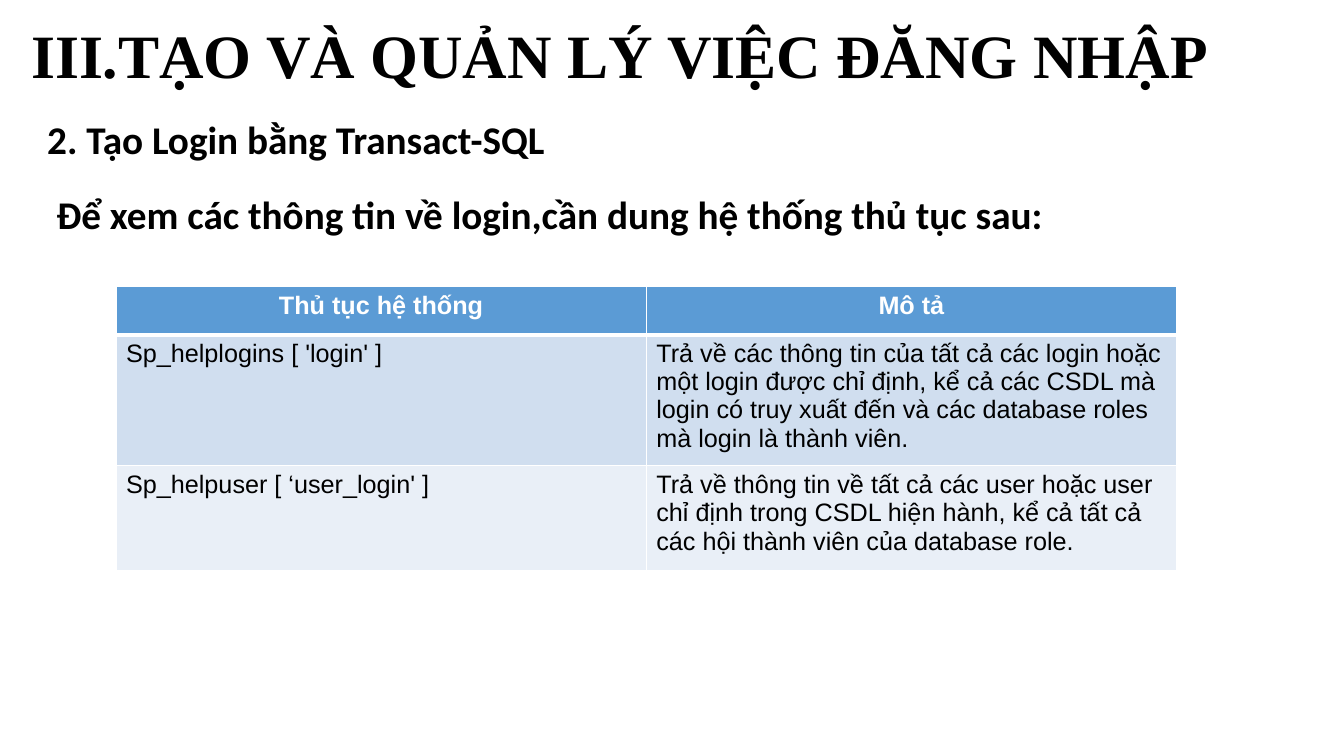
from lxml import etree
from pptx import Presentation
from pptx.dml.color import RGBColor
from pptx.enum.text import MSO_ANCHOR, PP_ALIGN
from pptx.oxml.ns import qn
from pptx.util import Inches, Pt

CENTER, LEFT, JUSTIFY = PP_ALIGN.CENTER, PP_ALIGN.LEFT, PP_ALIGN.JUSTIFY
MIDDLE, TOP = MSO_ANCHOR.MIDDLE, MSO_ANCHOR.TOP
COLORS = {"text": "000000", "white": "FFFFFF", "header": "5B9BD5",
          "band_dark": "D0DEEF", "band_light": "E9EFF7"}


def style(p, font, size, color, bold, align):
    p.alignment = align
    for r in p.runs:
        r.font.name = font
        r.font.size = Pt(size)
        r.font.bold = bold
        r.font.color.rgb = RGBColor.from_string(COLORS[color])


def add_border(cell, side, width):
    ln = etree.SubElement(cell._tc.get_or_add_tcPr(), qn("a:" + side), w=str(Pt(width)))
    fill = etree.SubElement(ln, qn("a:solidFill"))
    etree.SubElement(fill, qn("a:srgbClr"), val=COLORS["white"])


prs = Presentation()
prs.slide_width, prs.slide_height = Inches(13.33), Inches(7.5)
s = prs.slides.add_slide(prs.slide_layouts[6])

title = s.shapes.add_textbox(Inches(0.21), Inches(-0.14), Inches(12.75), Inches(1.45))
tf = title.text_frame
tf.word_wrap = True
tf.vertical_anchor = MIDDLE
p = tf.paragraphs[0]
p.text = "III.TẠO VÀ QUẢN LÝ VIỆC ĐĂNG NHẬP"
p.line_spacing = 0.9
style(p, "Times New Roman", 44, "text", True, LEFT)

body = s.shapes.add_textbox(Inches(0.37), Inches(0.95), Inches(12.44), Inches(5.28))
tf = body.text_frame
tf.word_wrap = True
tf.vertical_anchor = TOP
tf.text = "2. Tạo Login bằng Transact-SQL\nĐể xem các thông tin về login,cần dung hệ thống thủ tục sau:"
for p in tf.paragraphs:
    p.line_spacing = 1.3
    style(p, "Calibri", 28, "text", True, JUSTIFY)
intro = tf.paragraphs[1]
intro.space_before = Pt(10)
intro._p.get_or_add_pPr().set("marL", str(Inches(0.09)))

rows = [
    ("Thủ tục hệ thống", "Mô tả"),
    ("Sp_helplogins [ 'login' ]",
     "Trả về các thông tin của tất cả các login hoặc một login được chỉ định, kể cả các CSDL "
     "mà login có truy xuất đến và các database roles mà login là thành viên."),
    ("Sp_helpuser [ ‘user_login' ]",
     "Trả về thông tin về tất cả các user hoặc user chỉ định trong CSDL hiện hành, "
     "kể cả tất cả các hội thành viên của database role."),
]
row_heights = [0.48, 1.04, 1.04]
row_fills = ["header", "band_dark", "band_light"]
table = s.shapes.add_table(3, 2, Inches(1.15), Inches(2.84), Inches(10.52),
                           Inches(sum(row_heights))).table
for col in table.columns:
    col.width = Inches(5.26)
for i, texts in enumerate(rows):
    table.rows[i].height = Inches(row_heights[i])
    is_header = i == 0
    for j, text in enumerate(texts):
        cell = table.cell(i, j)
        for side in ("lnL", "lnR", "lnT", "lnB"):
            header_rule = (i, side) in ((0, "lnB"), (1, "lnT"))
            add_border(cell, side, 3 if header_rule else 1)
        cell.fill.solid()
        cell.fill.fore_color.rgb = RGBColor.from_string(COLORS[row_fills[i]])
        p = cell.text_frame.paragraphs[0]
        p.text = text
        style(p, "Arial", 18, "white" if is_header else "text", is_header,
              CENTER if is_header else LEFT)

prs.save("out.pptx")
